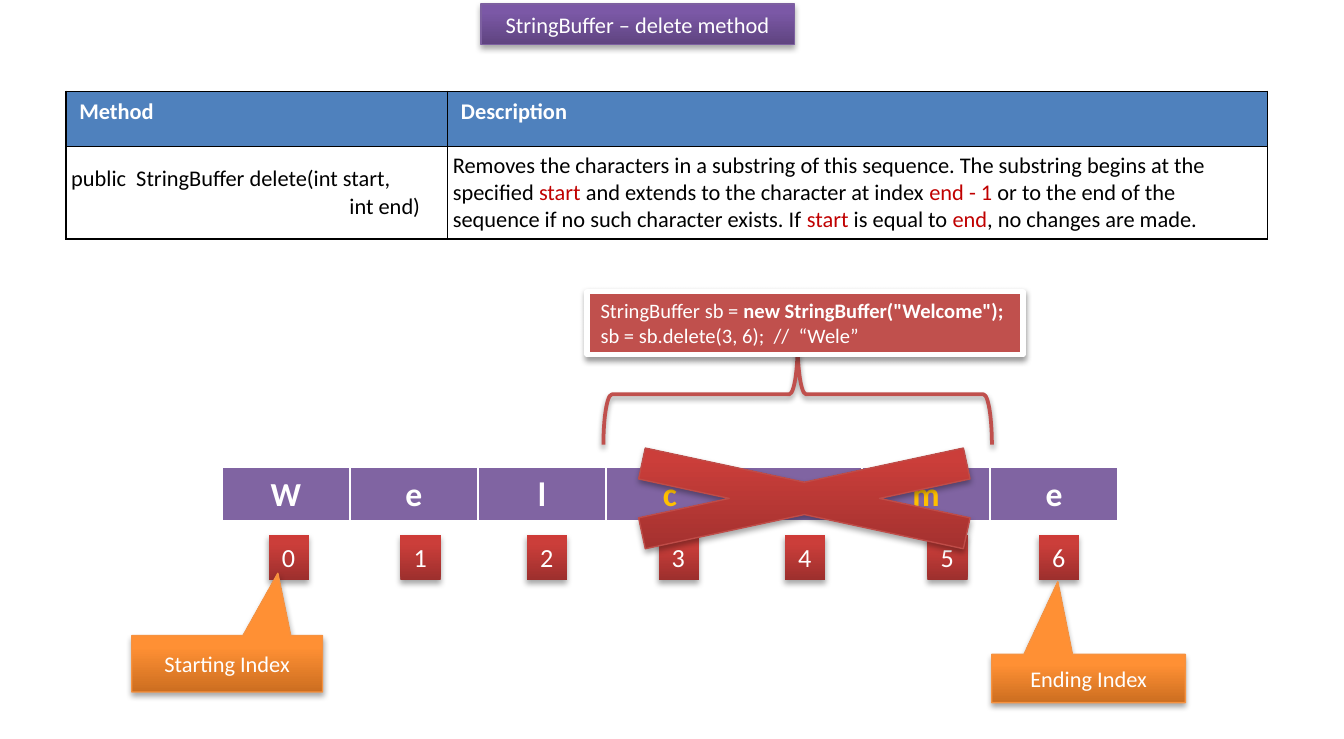
from lxml import etree
from pptx import Presentation
from pptx.dml.color import RGBColor
from pptx.enum import shapes, text
from pptx.oxml import ns
from pptx.util import Inches, Pt

BLACK = RGBColor(0, 0, 0)
WHITE = RGBColor(255, 255, 255)
BLUE = RGBColor(0x4F, 0x81, 0xBD)
PURPLE = RGBColor(0x80, 0x64, 0xA2)
PURPLE_LINE = RGBColor(0x7D, 0x60, 0xA0)
RED = RGBColor(0xC0, 0x50, 0x4D)
RED_LINE = RGBColor(0xBF, 0x4C, 0x48)
ORANGE_LINE = RGBColor(0xF6, 0x92, 0x40)
KEYWORD = RGBColor(0xC0, 0, 0)
GOLD = RGBColor(0xFF, 0xC0, 0)
PURPLE_STOPS = [(0, "5F4480"), (80, "7B58A6"), (100, "7C57A8")]
RED_STOPS = [(0, "9C2F2D"), (80, "CB3E3A"), (100, "CE3B37")]
ORANGE_STOPS = [(0, "CC6E20"), (80, "FF9034"), (100, "FF9136")]

TITLE = "StringBuffer – delete method"
HEADERS = ["Method", "Description"]
SIGNATURE = ["public  StringBuffer delete(int start,", "int end)"]
DESCRIPTION = [
    ("Removes the characters in a substring of this sequence. "
     "The substring begins at the specified ", BLACK),
    ("start", KEYWORD),
    (" and extends to the character at index ", BLACK),
    ("end - 1", KEYWORD),
    (" or to the end of the sequence if no such character exists. If ", BLACK),
    ("start", KEYWORD),
    (" is equal to ", BLACK),
    ("end", KEYWORD),
    (", no changes are made.", BLACK),
]
WORD = "Welcome"
DELETED = range(3, 6)
INDEX_LEFTS = [2, 2.98, 3.92, 4.9, 5.84, 6.9, 7.73]
CODE = [
    [("StringBuffer sb = ", False), ('new StringBuffer("Welcome");', True)],
    [("sb = sb.delete(3, 6);  //  “Wele”", False)],
]
CALLOUTS = [
    ("Starting Index", (0.98, 4.73, 1.42, 0.42), (0.266, -1.604)),
    ("Ending Index", (7.38, 4.87, 1.44, 0.36), (-0.159, -2.001)),
]


def add_run(paragraph, words, size, color, bold=False):
    run = paragraph.add_run()
    run.text = words
    run.font.name, run.font.size, run.font.bold = "Calibri", Pt(size), bold
    run.font.color.rgb = color


def child(parent, tag, **attributes):
    return etree.SubElement(parent, ns.qn(tag), attributes)


def add_shadow(shape, opacity, distance):
    shape.shadow.inherit = False
    effects = shape._element.spPr.find(ns.qn("a:effectLst"))
    shadow = child(effects, "a:outerShdw", blurRad="40000", dist=str(distance),
                   dir="5400000", rotWithShape="0")
    color = child(shadow, "a:srgbClr", val="000000")
    child(color, "a:alpha", val=str(opacity * 1000))


def set_line(shape, color, width):
    if color is None:
        shape.line.fill.background()
    else:
        shape.line.color.rgb = color
        shape.line.width = Pt(width)


def style_gradient(shape, stops, line=None):
    shape.fill.gradient()
    shape.fill.gradient_angle = 90
    stop_list = shape._element.spPr.find(".//" + ns.qn("a:gsLst"))
    for stop in list(stop_list):
        stop_list.remove(stop)
    for position, color in stops:
        stop = child(stop_list, "a:gs", pos=str(position * 1000))
        child(stop, "a:srgbClr", val=color)
    set_line(shape, line, 0.75)
    add_shadow(shape, 35, 23000)


def add_shape(kind, box):
    return slide.shapes.add_shape(kind, *map(Inches, box))


def add_table(rows, columns, box):
    return slide.shapes.add_table(rows, columns, *map(Inches, box)).table


def set_borders(cell, color, widths):
    properties = cell._tc.get_or_add_tcPr()
    for index, (side, width) in enumerate(zip("LRTB", widths)):
        line = etree.Element(ns.qn("a:ln" + side), w=str(Pt(width)))
        fill = child(line, "a:solidFill")
        child(fill, "a:srgbClr", val=str(color))
        properties.insert(index, line)


presentation = Presentation()
presentation.slide_width, presentation.slide_height = Inches(10), Inches(5.5)
slide = presentation.slides.add_slide(presentation.slide_layouts[5])

title = slide.shapes.title
title.left, title.top, title.width, title.height = map(Inches, (3.58, 0.03, 2.33, 0.3))
title.text_frame.auto_size = text.MSO_AUTO_SIZE.NONE
title.text_frame.paragraphs[0].alignment = text.PP_ALIGN.CENTER
add_run(title.text_frame.paragraphs[0], TITLE, 12, WHITE)
style_gradient(title, PURPLE_STOPS, PURPLE_LINE)

methods = add_table(2, 2, (0.49, 0.68, 8.94, 1.09))
for column, width in zip(methods.columns, (2.84, 6.1)):
    column.width = Inches(width)
for row, height in zip(methods.rows, (0.41, 0.68)):
    row.height = Inches(height)
for column, header in enumerate(HEADERS):
    cell = methods.cell(0, column)
    cell.fill.solid()
    cell.fill.fore_color.rgb = BLUE
    add_run(cell.text_frame.paragraphs[0], header, 12, WHITE, True)
    body = methods.cell(1, column)
    body.fill.background()
    body.vertical_anchor = text.MSO_ANCHOR.MIDDLE
    body.margin_left = body.margin_right = Inches(0.04)
    body.margin_top = body.margin_bottom = Inches(0.04)
signature = methods.cell(1, 0).text_frame
add_run(signature.paragraphs[0], SIGNATURE[0], 12, BLACK)
continuation = signature.add_paragraph()
continuation._p.get_or_add_pPr().set("marL", str(Inches(2.07)))
add_run(continuation, SIGNATURE[1], 12, BLACK)
for words, color in DESCRIPTION:
    add_run(methods.cell(1, 1).text_frame.paragraphs[0], words, 12, color)
for cell in methods.iter_cells():
    set_borders(cell, BLACK, (1, 1, 1, 1))

letters = add_table(1, len(WORD), (1.65, 3.48, 6.67, 0.41))
for index, letter in enumerate(WORD):
    cell = letters.cell(0, index)
    cell.fill.solid()
    cell.fill.fore_color.rgb = PURPLE
    paragraph = cell.text_frame.paragraphs[0]
    paragraph.alignment = text.PP_ALIGN.CENTER
    add_run(paragraph, letter, 18, GOLD if index in DELETED else WHITE, True)
    set_borders(cell, WHITE, (1, 1, 1, 3))

for index, left in enumerate(INDEX_LEFTS):
    label = add_shape(shapes.MSO_SHAPE.RECTANGLE, (left, 3.98, 0.3, 0.34))
    style_gradient(label, RED_STOPS)
    label.text_frame.word_wrap = False
    label.text_frame.vertical_anchor = text.MSO_ANCHOR.TOP
    label.text_frame.paragraphs[0].alignment = text.PP_ALIGN.LEFT
    add_run(label.text_frame.paragraphs[0], str(index), 14, WHITE)

for words, box, pointer in CALLOUTS:
    callout = add_shape(shapes.MSO_SHAPE.RECTANGULAR_CALLOUT, box)
    callout.adjustments[0], callout.adjustments[1] = pointer
    style_gradient(callout, ORANGE_STOPS, ORANGE_LINE)
    callout.text_frame.paragraphs[0].alignment = text.PP_ALIGN.CENTER
    add_run(callout.text_frame.paragraphs[0], words, 12, WHITE)

brace = add_shape(shapes.MSO_SHAPE.LEFT_BRACE, (5.56, 1.49, 0.75, 2.89))
brace.rotation = 90
brace.fill.background()
set_line(brace, RED, 2)
add_shadow(brace, 38, 20000)

code_box = add_shape(shapes.MSO_SHAPE.RECTANGLE, (4.37, 2.17, 3.24, 0.47))
code_box.fill.solid()
code_box.fill.fore_color.rgb = RED
set_line(code_box, WHITE, 3)
add_shadow(code_box, 38, 20000)
frame = code_box.text_frame
frame.word_wrap = False
frame.vertical_anchor = text.MSO_ANCHOR.TOP
for index, line in enumerate(CODE):
    paragraph = frame.add_paragraph() if index else frame.paragraphs[0]
    paragraph.alignment = text.PP_ALIGN.LEFT
    for words, bold in line:
        add_run(paragraph, words, 11, WHITE, bold)

cross = add_shape(shapes.MSO_SHAPE.MATH_MULTIPLY, (3.66, 3.21, 4.65, 1))
style_gradient(cross, RED_STOPS, RED_LINE)

presentation.save("out.pptx")
